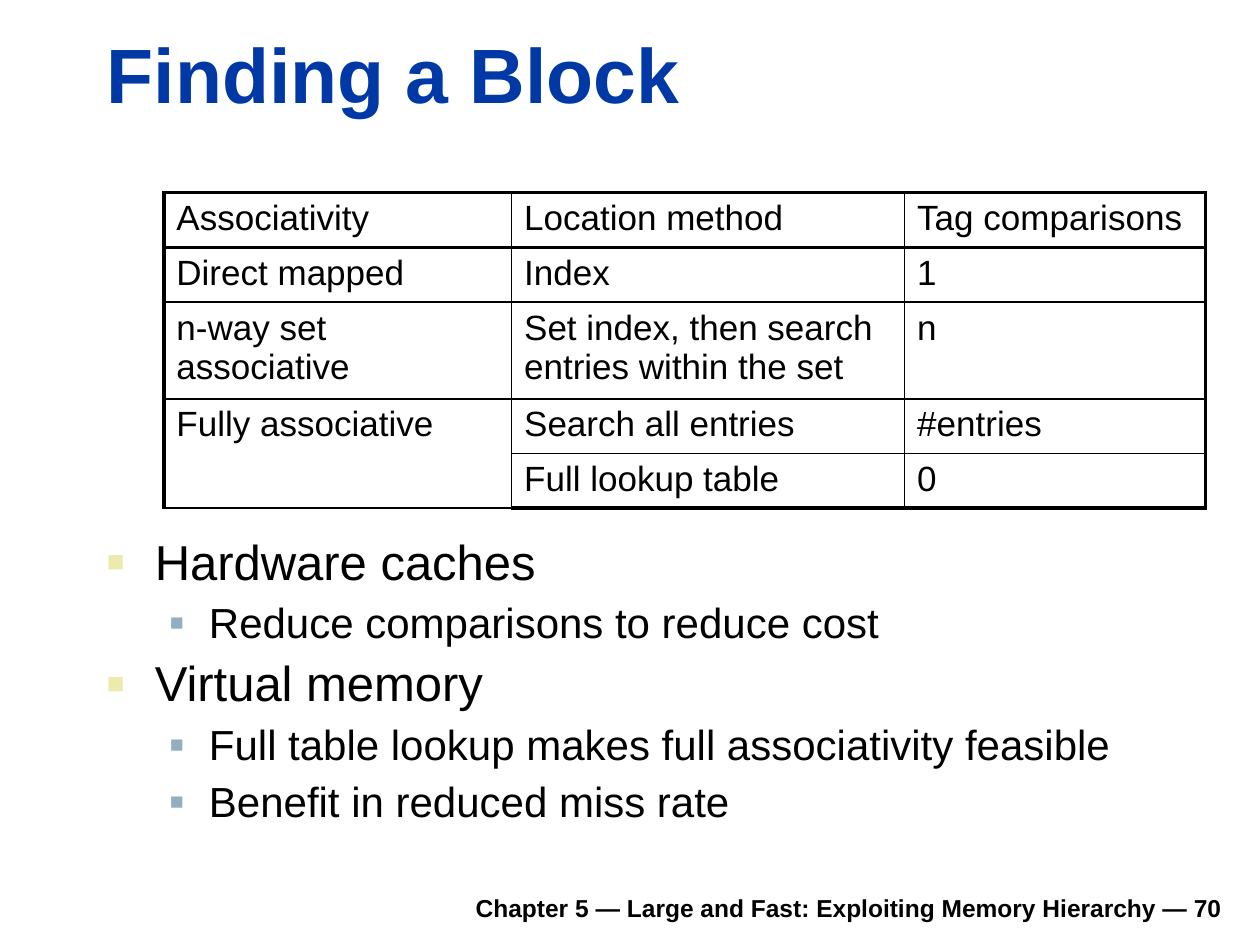
"""Builds the slide "Finding a Block"."""
from lxml import etree
from pptx import Presentation
from pptx.dml.color import RGBColor
from pptx.enum.text import MSO_ANCHOR, PP_ALIGN
from pptx.oxml.ns import qn
from pptx.util import Inches, Pt

BOTTOM, TOP = MSO_ANCHOR.BOTTOM, MSO_ANCHOR.TOP
RIGHT = PP_ALIGN.RIGHT
FONT = "Arial"
COLORS = {"text": "000000", "title": "0039A6", "bullet": "ECEAAC", "sub_bullet": "91AFBF"}

TITLE = "Finding a Block"
FOOTER = "Chapter 5 — Large and Fast: Exploiting Memory Hierarchy — 70"
TABLE_ROWS = [
    ("Associativity", "Location method", "Tag comparisons"),
    ("Direct mapped", "Index", "1"),
    ("n-way set associative", "Set index, then search entries within the set", "n"),
    ("Fully associative", "Search all entries", "#entries"),
    ("", "Full lookup table", "0"),
]
COLUMN_WIDTHS = (2.76, 3.12, 2.39)
ROW_HEIGHTS = (0.41, 0.41, 0.72, 0.41, 0.41)
BULLETS = [
    (0, "Hardware caches"),
    (1, "Reduce comparisons to reduce cost"),
    (0, "Virtual memory"),
    (1, "Full table lookup makes full associativity feasible"),
    (1, "Benefit in reduced miss rate"),
]
LEVELS = [
    {"size": 28, "left": 0.38, "hang": 0.38, "color": "bullet", "percent": 60},
    {"size": 24, "left": 0.81, "hang": 0.31, "color": "sub_bullet", "percent": 55},
]


def style(paragraph, size, color="text", bold=False):
    font = paragraph.font
    font.name, font.size, font.bold = FONT, Pt(size), bold
    font.color.rgb = RGBColor.from_string(COLORS[color])


def add_text_frame(slide, box, anchor):
    frame = slide.shapes.add_textbox(*map(Inches, box)).text_frame
    frame.word_wrap = True
    frame.vertical_anchor = anchor
    return frame


def add_bullet(paragraph, level):
    properties = paragraph._p.get_or_add_pPr()
    properties.set("marL", str(Inches(level["left"])))
    properties.set("indent", str(-Inches(level["hang"])))
    color = etree.SubElement(properties, qn("a:buClr"))
    etree.SubElement(color, qn("a:srgbClr"), val=COLORS[level["color"]])
    etree.SubElement(properties, qn("a:buSzPct"), val=str(level["percent"] * 1000))
    etree.SubElement(properties, qn("a:buFont"), typeface=FONT)
    etree.SubElement(properties, qn("a:buChar"), char="■")


def set_borders(cell, widths):
    properties = cell._tc.get_or_add_tcPr()
    for index, (side, width) in enumerate(widths.items()):
        line = etree.Element(qn(f"a:ln{side}"), w=str(Pt(width)))
        fill = etree.SubElement(line, qn("a:solidFill"))
        etree.SubElement(fill, qn("a:srgbClr"), val=COLORS["text"])
        properties.insert(index, line)


def add_table(slide):
    rows, columns = len(TABLE_ROWS), len(COLUMN_WIDTHS)
    box = (1.3, 1.53, sum(COLUMN_WIDTHS), sum(ROW_HEIGHTS))
    table = slide.shapes.add_table(rows, columns, *map(Inches, box)).table
    table.first_row = table.horz_banding = False
    for column, width in zip(table.columns, COLUMN_WIDTHS):
        column.width = Inches(width)
    for row, height in zip(table.rows, ROW_HEIGHTS):
        row.height = Inches(height)
    for r, texts in enumerate(TABLE_ROWS):
        for c, text in enumerate(texts):
            cell = table.cell(r, c)
            cell.text = text
            style(cell.text_frame.paragraphs[0], 20)
            cell.fill.background()
            set_borders(cell, {
                "L": 2.25 if c == 0 else 1,
                "R": 2.25 if c == columns - 1 else 1,
                "T": {0: 2.25, 1: 1.5}.get(r, 1),
                "B": {0: 1.5, rows - 1: 2.25}.get(r, 1),
            })
    table.cell(rows - 2, 0).merge(table.cell(rows - 1, 0))


presentation = Presentation()
presentation.slide_width, presentation.slide_height = Inches(10), Inches(7.5)
slide = presentation.slides.add_slide(presentation.slide_layouts[6])

footer = add_text_frame(slide, (1.85, 6.98, 7.95, 0.39), BOTTOM).paragraphs[0]
footer.text = FOOTER
footer.alignment = RIGHT
style(footer, 14, bold=True)

title = add_text_frame(slide, (0.75, 0.16, 9.03, 0.83), BOTTOM).paragraphs[0]
title.text = TITLE
style(title, 44, "title", bold=True)

body = add_text_frame(slide, (0.75, 4.22, 9.05, 2.6), TOP)
for number, (depth, text) in enumerate(BULLETS):
    paragraph = body.add_paragraph() if number else body.paragraphs[0]
    paragraph.text = text
    paragraph.level = depth
    paragraph.line_spacing = 0.9
    paragraph.space_before = Pt(6.7)
    add_bullet(paragraph, LEVELS[depth])
    style(paragraph, LEVELS[depth]["size"])

add_table(slide)
presentation.save("out.pptx")
